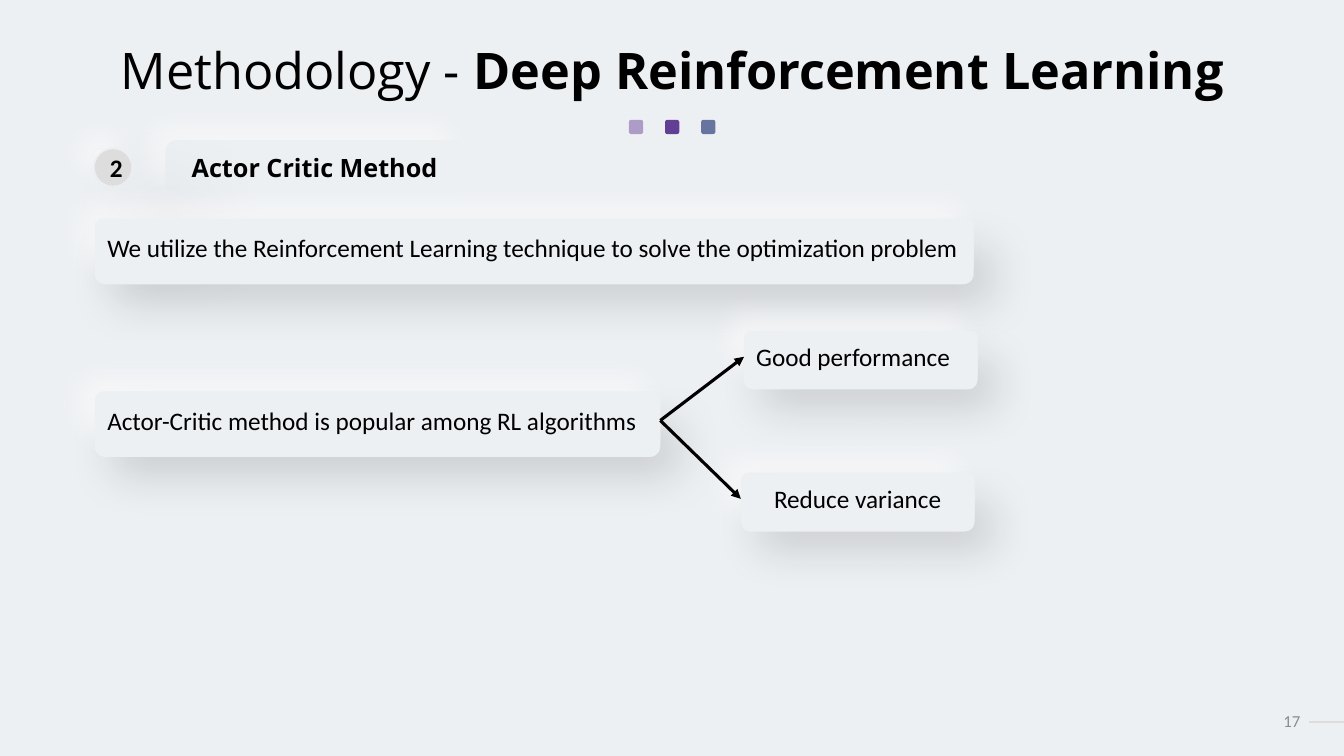
from dataclasses import dataclass

from lxml import etree
from pptx import Presentation
from pptx.dml.color import RGBColor
from pptx.enum.shapes import MSO_CONNECTOR, MSO_SHAPE
from pptx.enum.text import MSO_ANCHOR, PP_ALIGN
from pptx.oxml.ns import qn
from pptx.util import Cm, Pt

ROUND, OVAL = MSO_SHAPE.ROUNDED_RECTANGLE, MSO_SHAPE.OVAL
STRAIGHT = MSO_CONNECTOR.STRAIGHT
MIDDLE = MSO_ANCHOR.MIDDLE
CENTER, RIGHT, JUSTIFY = PP_ALIGN.CENTER, PP_ALIGN.RIGHT, PP_ALIGN.JUSTIFY
LEFT_SITE, RIGHT_SITE = 1, 3


@dataclass(frozen=True)
class Theme:
    back: str = "EDF0F3"
    panel: str = "ECF0F3"
    ink: str = "000000"
    muted: str = "8C8C8C"
    pale: str = "DDDDDD"
    dots: tuple = ("AE9CC8", "623E95", "6774A0")
    head: str = "Open Sans"
    body: str = "Calibri"
    title: int = 36
    text: int = 18
    small: int = 12
    glow: tuple = ("FFFFFF", 50, 20, 15, 225)
    shade: tuple = ("0D0D0D", 14, 32, 18, 45)
    deep: tuple = ("000000", 25, 63, 55, 45)


def rgb(code):
    return RGBColor.from_string(code)


def apply(target, values):
    for name, value in values.items():
        setattr(target, name, value)


class Page:
    def __init__(self, slide, theme):
        self.slide, self.theme = slide, theme
        fill = slide.background.fill
        fill.solid()
        fill.fore_color.rgb = rgb(theme.back)

    def words(self, shape, runs, align, size=None, font=None, color=None,
              line=None, **frame):
        theme = self.theme
        apply(shape.text_frame,
              {"word_wrap": True, "vertical_anchor": MIDDLE, **frame})
        para = shape.text_frame.paragraphs[0]
        apply(para, {"alignment": align, "line_spacing": line})
        for text, bold in runs:
            run = para.add_run()
            run.text = text
            apply(run.font, {"name": font or theme.body, "bold": bold,
                             "size": Pt(size or theme.text)})
            run.font.color.rgb = rgb(color or theme.ink)

    def label(self, box, runs, align, **style):
        shape = self.slide.shapes.add_textbox(*map(Cm, box))
        self.words(shape, runs, align, **style)

    def shape(self, kind, box, color, shadow=None, curve=None):
        shape = self.slide.shapes.add_shape(kind, *map(Cm, box))
        shape.shadow.inherit = False
        shape.fill.solid()
        shape.fill.fore_color.rgb = rgb(color)
        shape.line.fill.background()
        if curve:
            shape.adjustments[0] = curve
        if shadow:
            self.shadow(shape, *shadow)
        return shape

    def shadow(self, shape, color, alpha, blur, dist, angle):
        effects = shape.element.spPr.find(qn("a:effectLst"))
        outer = etree.SubElement(
            effects, qn("a:outerShdw"), blurRad=str(Pt(blur)),
            dist=str(Pt(dist)), dir=str(angle * 60000), rotWithShape="0")
        tint = etree.SubElement(outer, qn("a:srgbClr"), val=color)
        etree.SubElement(tint, qn("a:alpha"), val=str(alpha * 1000))

    def panel(self, box, text, align=JUSTIFY):
        theme = self.theme
        left, top, width, height = box
        base = (left, top + 0.225 * height, width, 0.9 * height)
        self.shape(ROUND, base, theme.panel, theme.shade, 0.2)
        front = self.shape(ROUND, box, theme.panel, theme.glow, 0.15)
        self.words(front, [(text, False)], align)
        return front

    def line(self, ends, color, width):
        link = self.slide.shapes.add_connector(STRAIGHT, *map(Cm, ends))
        link.line.color.rgb = rgb(color)
        link.line.width = Pt(width)
        etree.SubElement(link.element.spPr, qn("a:effectLst"))
        return link

    def arrow(self, start, end):
        link = self.line((0, 0, 1, 1), self.theme.ink, 2.25)
        link.begin_connect(start, RIGHT_SITE)
        link.end_connect(end, LEFT_SITE)
        stroke = link.element.spPr.find(qn("a:ln"))
        etree.SubElement(stroke, qn("a:tailEnd"), type="triangle")


def main():
    deck = Presentation()
    apply(deck, {"slide_width": Cm(33.87), "slide_height": Cm(19.05)})
    theme = Theme()
    page = Page(deck.slides.add_slide(deck.slide_layouts[6]), theme)

    page.line((32.99, 18.19, 33.87, 18.19), theme.pale, 1.5)
    page.label((31.55, 17.65, 1.47, 1.02), [("17", False)], RIGHT,
               size=theme.small, color=theme.muted)
    for index, color in enumerate(theme.dots):
        page.shape(ROUND, (15.85 + 0.91 * index, 3.02, 0.36, 0.36), color)

    page.label((2.34, 1.02, 29.21, 1.65),
               [("Methodology - ", False),
                ("Deep Reinforcement Learning", True)],
               CENTER, size=theme.title, font=theme.head, line=0.9)

    topic = page.shape(ROUND, (4.17, 3.53, 7.52, 1.4), theme.panel,
                       theme.glow, 0.2)
    page.words(topic, [("Actor Critic Method", True)], CENTER,
               font=theme.head)
    page.shape(OVAL, (2.34, 3.71, 1.07, 1.07), theme.back, theme.glow)
    badge = page.shape(OVAL, (2.39, 3.76, 0.92, 0.92), theme.pale, theme.deep)
    page.words(badge, [("2", True)], CENTER, word_wrap=False,
               margin_left=Cm(0.16), margin_right=0,
               margin_top=0, margin_bottom=0)

    page.panel((2.39, 5.51, 22.15, 1.47),
               "We utilize the Reinforcement Learning technique "
               "to solve the optimization problem")
    method = page.panel((2.39, 9.86, 14.25, 1.47),
                        "Actor-Critic method is popular among RL algorithms")
    gains = [
        page.panel((18.75, 8.33, 5.89, 1.32), "Good performance"),
        page.panel((18.67, 11.91, 5.89, 1.32), "Reduce variance", CENTER),
    ]
    for gain in gains:
        page.arrow(method, gain)

    deck.save("out.pptx")


if __name__ == "__main__":
    main()
